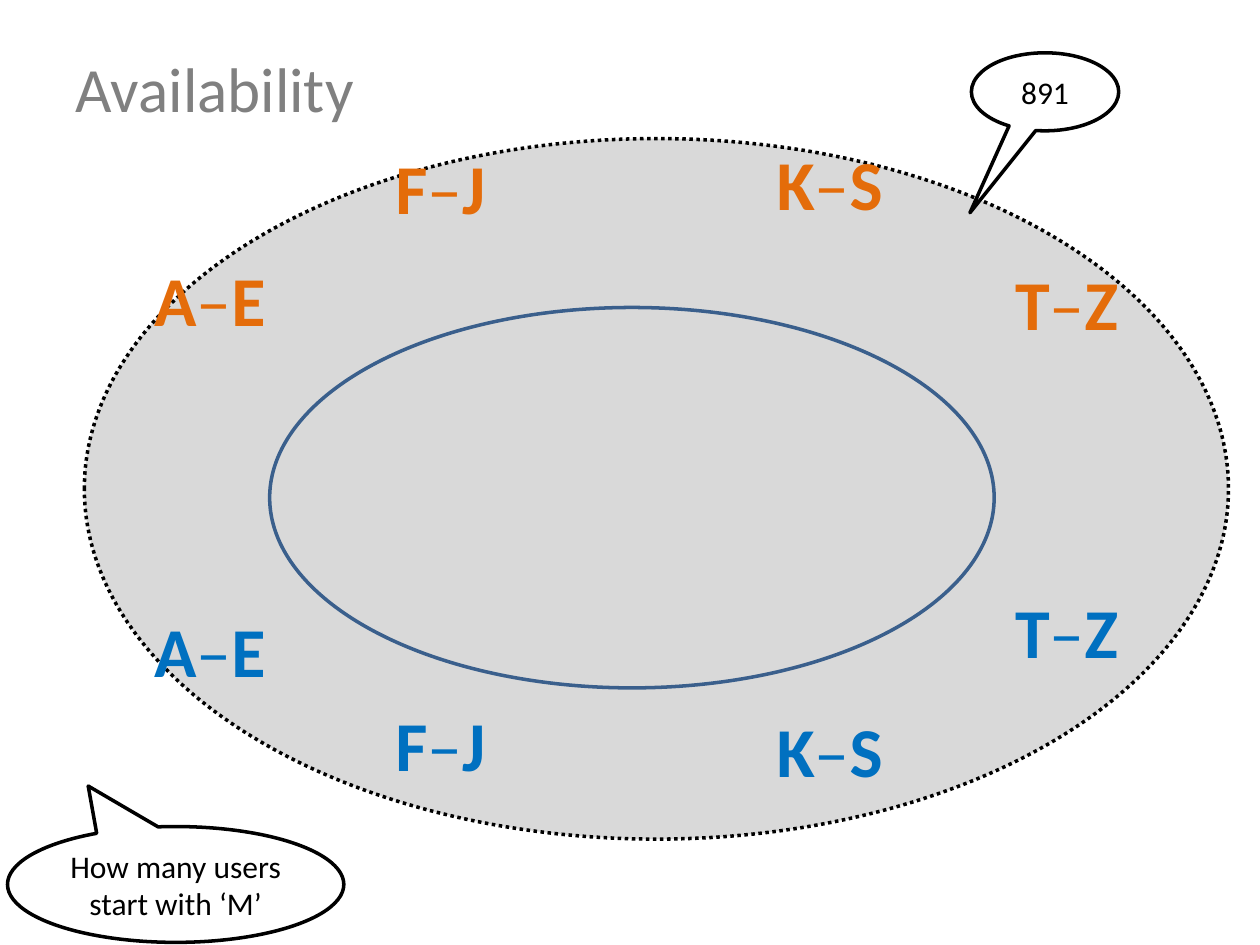
"""Build the Availability slide: two rings of replicated key ranges and a query."""
from lxml.etree import SubElement
from pptx import Presentation
from pptx.dml.color import RGBColor as RGB
from pptx.enum.dml import MSO_LINE
from pptx.enum.shapes import MSO_SHAPE as SHAPE
from pptx.enum.text import MSO_ANCHOR as ANCHOR, MSO_AUTO_SIZE as AUTO, PP_ALIGN as ALIGN
from pptx.oxml.ns import qn
from pptx.util import Pt

THEME = dict(
    font="Calibri", title="808080", ink="000000", paper="FFFFFF", ring="D9D9D9", hole="3A5F8C",
    primary="E46C0A", primary_edge="D73A36", replica="0070C0", replica_edge="002060",
    title_size=36, range_size=40, callout_size=18, stroke=2, edge=1.42, thin_edge=0.75,
)


def style_run(r, size, color, bold=False):
    values = dict(name=THEME["font"], size=Pt(THEME[size]), bold=bold)
    for key, value in values.items():
        setattr(r.font, key, value)
    r.font.color.rgb = RGB.from_string(THEME[color])


def add_outlined(kind, box, fill, line):
    sp = s.shapes.add_shape(kind, *map(Pt, box))
    sp.shadow.inherit = False
    if fill:
        sp.fill.solid()
        sp.fill.fore_color.rgb = RGB.from_string(THEME[fill])
    else:
        sp.fill.background()
    sp.line.color.rgb = RGB.from_string(THEME[line])
    sp.line.width = Pt(THEME["stroke"])
    return sp


prs = Presentation()
prs.slide_width, prs.slide_height = Pt(720), Pt(540)
s = prs.slides.add_slide(prs.slide_layouts[5])

title = s.shapes.title
for key, value in dict(left=36, top=21.6, width=648, height=56.2).items():
    setattr(title, key, Pt(value))
tf = title.text_frame
tf.vertical_anchor = ANCHOR.MIDDLE
p = tf.paragraphs[0]
p.alignment = ALIGN.LEFT
r = p.add_run()
r.text = "Availability"
style_run(r, "title_size", "title")

ring = add_outlined(SHAPE.OVAL, (48.2, 79.2, 653.8, 400.3), "ring", "ink")
ring.line.dash_style = MSO_LINE.ROUND_DOT
add_outlined(SHAPE.OVAL, (154.1, 175.7, 414, 217.4), None, "hole")

ranges = [
    ("A–E", 80.6, 78.5, 143.3, 343.4),
    ("F–J", 218.5, 66.2, 79.2, 397.4),
    ("K–S", 436.3, 75.6, 77, 401),
    ("T–Z", 571.7, 75.6, 145.4, 332.6),
]
for copy_name, dash_edge in (("primary", 0), ("replica", THEME["thin_edge"])):
    for text, left, width, primary_top, replica_top in ranges:
        top = primary_top if copy_name == "primary" else replica_top
        tf = s.shapes.add_textbox(Pt(left), Pt(top), Pt(width), Pt(55.4)).text_frame
        tf.word_wrap = False
        tf.auto_size = AUTO.SHAPE_TO_FIT_TEXT
        p = tf.paragraphs[0]
        p.alignment = ALIGN.CENTER
        for char in text:
            letter = char != "–"
            r = p.add_run()
            r.text = char
            style_run(r, "range_size", copy_name, letter)
            edge = THEME["edge"] if letter else dash_edge
            rPr = r.font._element
            ln = SubElement(rPr, qn("a:ln"))
            rPr.insert(0, ln)
            if edge:
                ln.set("w", str(Pt(edge)))
                fill = SubElement(ln, qn("a:solidFill"))
                SubElement(fill, qn("a:srgbClr"), val=THEME[copy_name + "_edge"])
            else:
                SubElement(ln, qn("a:noFill"))

callouts = [
    ("How many users start with ‘M’", (4.3, 472.3, 192.2, 66.2), (-0.26, -0.85)),
    ("891", (555.1, 30.2, 84.2, 44.6), (-0.51, 1.55)),
]
for text, box, tail in callouts:
    sp = add_outlined(SHAPE.OVAL_CALLOUT, box, "paper", "ink")
    for i, value in enumerate(tail):
        sp.adjustments[i] = value
    tf = sp.text_frame
    tf.word_wrap = True
    tf.vertical_anchor = ANCHOR.MIDDLE
    p = tf.paragraphs[0]
    p.alignment = ALIGN.CENTER
    r = p.add_run()
    r.text = text
    style_run(r, "callout_size", "ink")

prs.save("out.pptx")
